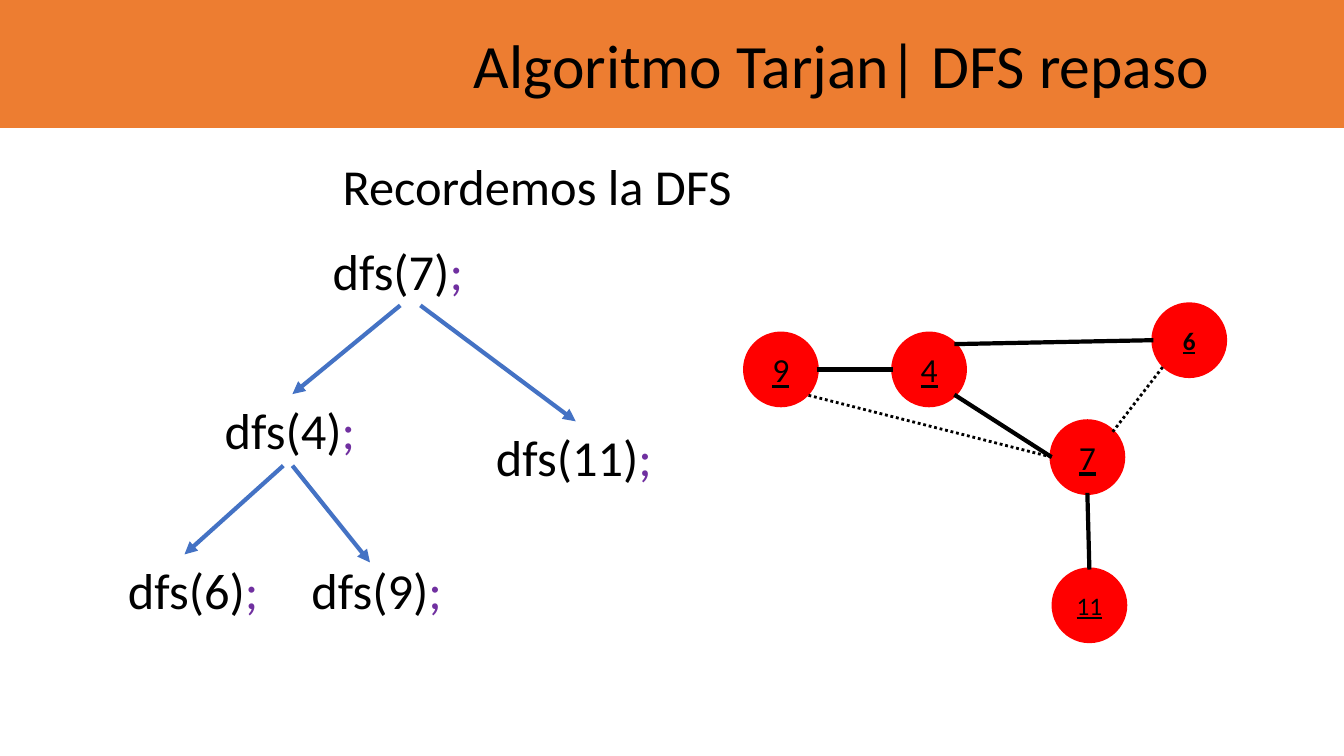
"""Build a slide that reviews depth-first search with a call tree and its graph."""
import math
from dataclasses import dataclass

import pptx
import pptx.dml.color
import pptx.enum.dml
import pptx.enum.shapes
import pptx.enum.text
import pptx.oxml.ns
import pptx.util
from lxml import etree

EMU_PER_PX = 9144
NODE_SIZE = 71
CALL_HEIGHT = 71
CALL_WIDTH = 155


@dataclass(frozen=True)
class Theme:
    font: str = "Calibri"
    ink: str = "000000"
    band: str = "ED7D31"
    node: str = "FF0000"
    call_arrow: str = "4472C4"
    semicolon: str = "7030A0"
    title_size: int = 44
    body_size: int = 36
    node_size: int = 24
    small_node_size: int = 18
    heavy_line: int = 3
    dotted_line: int = 2


def px(length):
    return pptx.util.Emu(round(length * EMU_PER_PX))


def rgb(colour):
    return pptx.dml.color.RGBColor.from_string(colour)


class SlideBuilder:
    def __init__(self, slide, theme):
        self.slide = slide
        self.theme = theme

    def style_run(self, run, size, colour=None):
        run.font.name = self.theme.font
        run.font.size = pptx.util.Pt(size)
        run.font.color.rgb = rgb(colour or self.theme.ink)

    def title(self, wording, left, top, width, height):
        heading = self.slide.shapes.title
        heading.left, heading.top = px(left), px(top)
        heading.width, heading.height = px(width), px(height)
        frame = heading.text_frame
        frame.text = wording
        frame.word_wrap = False
        frame.auto_size = pptx.enum.text.MSO_AUTO_SIZE.SHAPE_TO_FIT_TEXT
        frame.vertical_anchor = pptx.enum.text.MSO_ANCHOR.TOP
        frame.paragraphs[0].alignment = pptx.enum.text.PP_ALIGN.LEFT
        self.style_run(frame.paragraphs[0].runs[0], self.theme.title_size)

    def solid(self, kind, left, top, width, height, colour):
        solid = self.slide.shapes.add_shape(
            kind, px(left), px(top), px(width), px(height))
        solid.shadow.inherit = False
        solid.fill.solid()
        solid.fill.fore_color.rgb = rgb(colour)
        solid.line.fill.background()
        return solid

    def band(self, left, top, width, height):
        band = self.solid(pptx.enum.shapes.MSO_SHAPE.RECTANGLE,
                          left, top, width, height, self.theme.band)
        self.slide.shapes.title.element.addprevious(band.element)

    def text(self, wording, left, top, width, height, wrap=False):
        box = self.slide.shapes.add_textbox(
            px(left), px(top), px(width), px(height))
        frame = box.text_frame
        frame.text = wording
        frame.word_wrap = wrap
        frame.auto_size = pptx.enum.text.MSO_AUTO_SIZE.SHAPE_TO_FIT_TEXT
        self.style_run(frame.paragraphs[0].runs[0], self.theme.body_size)
        return frame.paragraphs[0]

    def call(self, vertex, left, top, width=CALL_WIDTH):
        statement = self.text(
            f"dfs({vertex})", left, top, width, CALL_HEIGHT, wrap=True)
        semicolon = statement.add_run()
        semicolon.text = ";"
        self.style_run(semicolon, self.theme.body_size, self.theme.semicolon)

    def node(self, label, left, top, size, bold):
        node = self.solid(pptx.enum.shapes.MSO_SHAPE.OVAL,
                          left, top, NODE_SIZE, NODE_SIZE, self.theme.node)
        node.line.color.rgb = rgb(self.theme.node)
        node.line.width = pptx.util.Pt(self.theme.heavy_line)
        frame = node.text_frame
        frame.text = label
        frame.vertical_anchor = pptx.enum.text.MSO_ANCHOR.MIDDLE
        frame.paragraphs[0].alignment = pptx.enum.text.PP_ALIGN.CENTER
        number = frame.paragraphs[0].runs[0]
        self.style_run(number, size)
        number.font.underline = True
        number.font.bold = bold

    def line(self, start, end, colour, width):
        line = self.slide.shapes.add_connector(
            pptx.enum.shapes.MSO_CONNECTOR.STRAIGHT,
            px(start[0]), px(start[1]), px(end[0]), px(end[1]))
        line.line.color.rgb = rgb(colour)
        line.line.width = pptx.util.Pt(width)
        etree.SubElement(line.element.spPr, pptx.oxml.ns.qn("a:effectLst"))
        return line

    def edge(self, start, end, dotted):
        width = self.theme.dotted_line if dotted else self.theme.heavy_line
        edge = self.line(start, end, self.theme.ink, width)
        if dotted:
            edge.line.dash_style = pptx.enum.dml.MSO_LINE.ROUND_DOT

    def arrow(self, start, end):
        arrow = self.line(start, end, self.theme.call_arrow,
                          self.theme.heavy_line)
        outline = arrow.element.spPr.find(pptx.oxml.ns.qn("a:ln"))
        etree.SubElement(outline, pptx.oxml.ns.qn("a:tailEnd"),
                         type="triangle")


def rim_point(corner, degrees):
    radius = NODE_SIZE / 2
    angle = math.radians(degrees)
    return (corner[0] + radius + radius * math.cos(angle),
            corner[1] + radius - radius * math.sin(angle))


def main():
    theme = Theme()
    presentation = pptx.Presentation()
    presentation.slide_width = px(1333)
    presentation.slide_height = px(750)
    review = SlideBuilder(
        presentation.slides.add_slide(presentation.slide_layouts[5]), theme)

    review.band(-7, 0, 1365, 127)
    review.title("Algoritmo Tarjan| DFS repaso", 460, 22, 758, 84)
    review.text("Recordemos la DFS", 330, 149, 410, 71)

    vertices = {"9": (739, 331), "4": (886, 331), "7": (1043, 418),
                "6": (1144, 302), "11": (1045, 565)}
    for label, corner in vertices.items():
        size = theme.small_node_size if label in ("6", "11") else theme.node_size
        review.node(label, *corner, size, bold=label == "6")

    edges = [("6", 180, "4", 45, False), ("7", 45, "6", 225, True),
             ("7", 180, "4", -45, False), ("7", 270, "11", 90, False),
             ("9", 0, "4", 180, False), ("7", 180, "9", -45, True)]
    for source, source_angle, target, target_angle, dotted in edges:
        review.edge(rim_point(vertices[source], source_angle),
                    rim_point(vertices[target], target_angle), dotted)

    calls = [("7", 320, 233), ("4", 213, 391), ("6", 117, 550),
             ("9", 299, 550), ("11", 482, 418, 186)]
    for call in calls:
        review.call(*call)

    descents = [((397, 303), (290, 391)), ((417, 303), (571, 418)),
                ((281, 462), (183, 550)), ((290, 462), (367, 558))]
    for caller, callee in descents:
        review.arrow(caller, callee)

    presentation.save("out.pptx")


if __name__ == "__main__":
    main()
